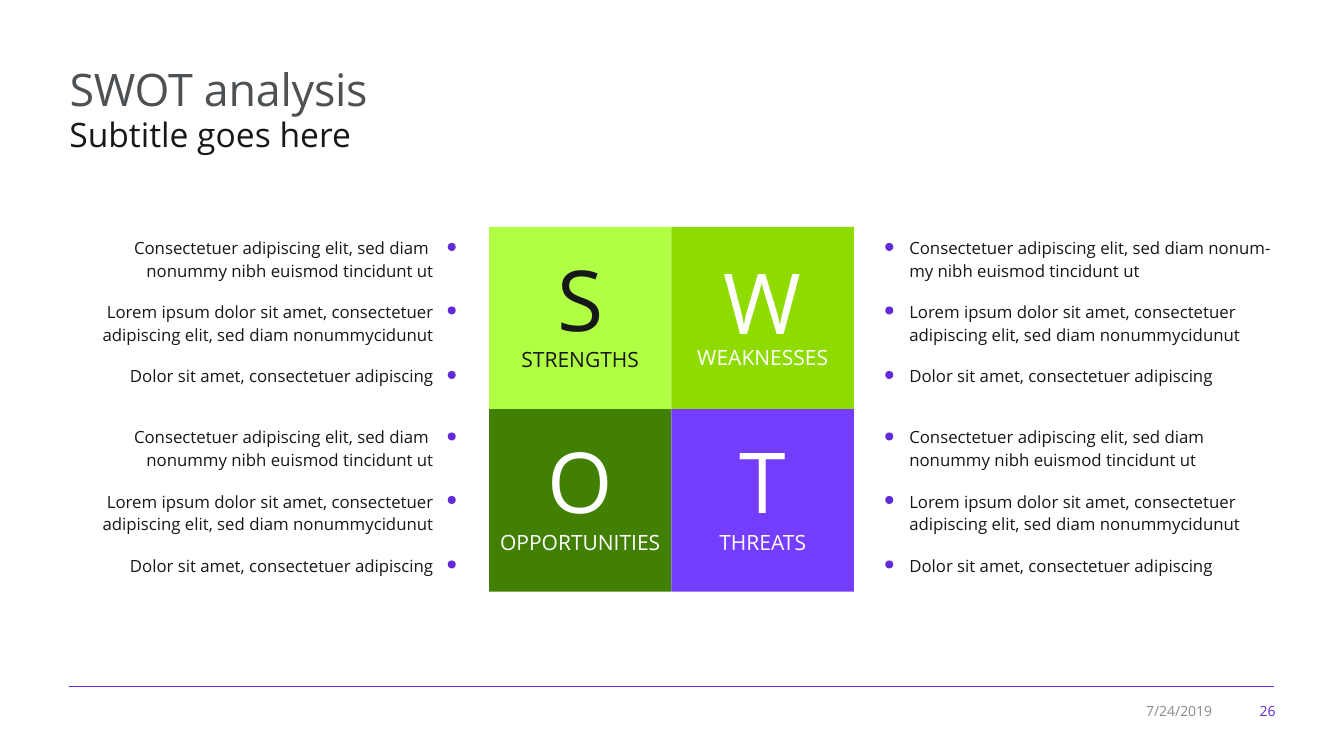
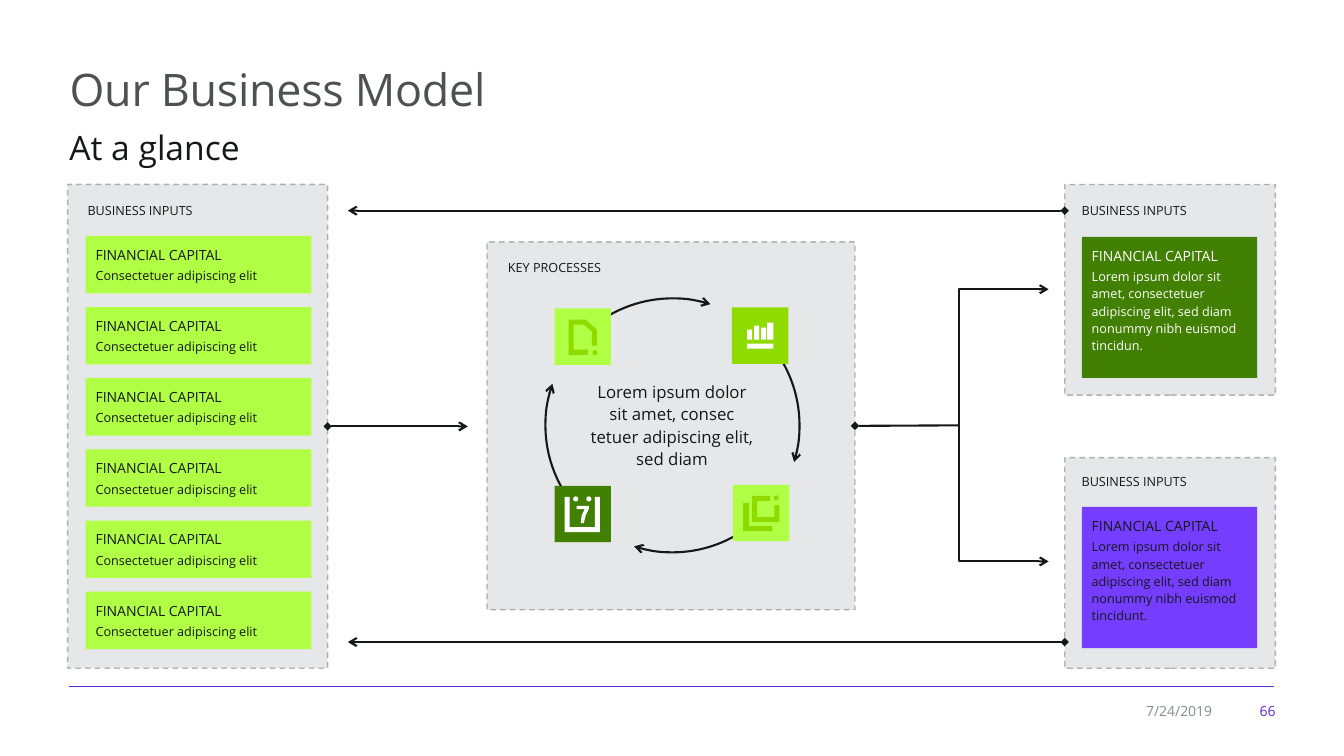
import math

import pptx
import pptx.util
import pptx.dml.color
import pptx.enum.dml
import pptx.enum.shapes
import pptx.enum.text
import pptx.oxml.ns
from lxml import etree

Inches = pptx.util.Inches
Pt = pptx.util.Pt
Shape = pptx.enum.shapes.MSO_SHAPE
Align = pptx.enum.text.PP_ALIGN
Anchor = pptx.enum.text.MSO_ANCHOR

# Shared style
FONT = "Open Sans"
COLORS = {
    "title": "4D5154", "ink": "161718", "white": "FFFFFF", "muted": "868B90",
    "accent": "622AD8", "panel": "E6E7E8", "lime": "B0FF45",
    "green": "8FDB00", "forest": "428003", "violet": "753DFF",
}
DATE = "7/24/2019"
INSETS = (0.1, 0.05, 0.1, 0.05)

# SWOT content
TILE = 1.81
TILES = [  # letter, name, fill, text colour, name line spacing
    ("S", "STRENGTHS", "lime", "ink", 0.9),
    ("W", "WEAKNESSES", "green", "white", 0.65),
    ("O", "OPPORTUNITIES", "forest", "white", 0.9),
    ("T", "THREATS", "violet", "white", 0.9),
]
BROKEN_POINT = "Consectetuer adipiscing elit, sed diam \nnonummy nibh euismod tincidunt ut"
HYPHEN_POINT = "Consectetuer adipiscing elit, sed diam nonum-my nibh euismod tincidunt ut"
OTHER_POINTS = [
    "Lorem ipsum dolor sit amet, consectetuer adipiscing elit, sed diam nonummycidunut",
    "Dolor sit amet, consectetuer adipiscing",
]
POINT_BLOCKS = [  # left, top, dot left, alignment, first point
    (0.58, 2.28, 4.44, Align.RIGHT, BROKEN_POINT),
    (0.58, 4.16, 4.44, Align.RIGHT, BROKEN_POINT),
    (8.92, 2.28, 8.78, Align.LEFT, HYPHEN_POINT),
    (8.92, 4.16, 8.78, Align.LEFT, BROKEN_POINT),
]
DOT_OFFSETS = (0.13, 0.76, 1.4)

# Business model content
PANELS = {  # box, heading, heading position
    "inputs": ((0.67, 1.83, 2.58, 4.8), "BUSINESS INPUTS", (0.77, 1.96)),
    "processes": ((4.83, 2.4, 3.65, 3.65), "KEY PROCESSES", (4.94, 2.53)),
    "top result": ((10.56, 1.83, 2.09, 2.09), "BUSINESS INPUTS", (10.63, 1.96)),
    "bottom result": ((10.56, 4.54, 2.09, 2.09), "BUSINESS INPUTS", (10.63, 4.65)),
}
CARD_TITLE = "FINANCIAL CAPITAL"
INPUT_TEXT = "Consectetuer adipiscing elit"
INPUT_COUNT, INPUT_FIRST, INPUT_LAST = 6, 2.34, 5.87
RESULT_TEXT = ("Lorem ipsum dolor sit amet, consectetuer adipiscing elit, "
               "sed diam nonummy nibh euismod ")
RESULTS = [  # top, fill, text colour, last word
    (2.35, "forest", "white", "tincidun."),
    (5.03, "violet", "ink", "tincidunt."),
]
CYCLE_TEXT = ["Lorem ipsum dolor", "sit amet, consec", "tetuer adipiscing elit, sed diam"]
CYCLE_ARCS = [(320.8, 16.8), (44.6, 107.6), (136.2, 199.1), (232.8, 287.4)]  # degrees
RETURN_ARROWS = (2.09, 6.37)
FORK = [(10.4, 2.87), (9.51, 2.87), (9.51, 5.57), (10.4, 5.57)]


def bar(left, top, right, bottom):
    return [(left, top), (right, top), (right, bottom), (left, bottom)]


def dot(x, y, radius=0.025, sides=16):
    angles = [2 * math.pi * side / sides for side in range(sides)]
    return [(x + radius * math.cos(a), y + radius * math.sin(a)) for a in angles]


ICONS = [  # left, top, tile fill, glyph fill, outlines measured from the tile corner
    (5.5, 3.06, "lime", "green", [
        [(0.42, 0.21), (0.42, 0.37), (0.37, 0.37), (0.37, 0.23), (0.29, 0.16), (0.19, 0.16),
         (0.19, 0.41), (0.33, 0.41), (0.33, 0.46), (0.14, 0.46), (0.14, 0.11), (0.31, 0.11)],
        dot(0.4, 0.44)]),
    (7.26, 3.05, "green", "white", [
        bar(0.15, 0.36, 0.41, 0.41), bar(0.15, 0.22, 0.2, 0.32), bar(0.22, 0.18, 0.27, 0.32),
        bar(0.29, 0.2, 0.34, 0.32), bar(0.35, 0.15, 0.41, 0.32)]),
    (5.5, 4.82, "forest", "white", [
        [(0.45, 0.11), (0.45, 0.46), (0.1, 0.46), (0.1, 0.11),
         (0.15, 0.11), (0.15, 0.41), (0.4, 0.41), (0.4, 0.11)],
        dot(0.21, 0.13), dot(0.34, 0.13),
        [(0.29, 0.37), (0.31, 0.29), (0.34, 0.23), (0.34, 0.2), (0.22, 0.2),
         (0.22, 0.23), (0.3, 0.23), (0.27, 0.29), (0.26, 0.37)]]),
    (7.27, 4.81, "lime", "green", [
        [(0.41, 0.2), (0.46, 0.2), (0.46, 0.37), (0.19, 0.37), (0.19, 0.11),
         (0.37, 0.11), (0.37, 0.16), (0.24, 0.16), (0.24, 0.32), (0.41, 0.32)],
        [(0.16, 0.18), (0.1, 0.18), (0.1, 0.46), (0.39, 0.46), (0.39, 0.41), (0.16, 0.41)],
        dot(0.43, 0.13)]),
]


# Drawing helpers
def rgb(color):
    return pptx.dml.color.RGBColor.from_string(COLORS[color])


def line(text, size, color="ink", align=Align.LEFT, spacing=1.0, after=0):
    return {"text": text, "size": size, "color": color, "align": align,
            "spacing": spacing, "after": after}


def write(shape, lines, anchor=Anchor.TOP, insets=INSETS):
    frame = shape.text_frame
    frame.word_wrap = True
    frame.vertical_anchor = anchor
    (frame.margin_left, frame.margin_top,
     frame.margin_right, frame.margin_bottom) = map(Inches, insets)
    for index, item in enumerate(lines):
        paragraph = frame.add_paragraph() if index else frame.paragraphs[0]
        paragraph.alignment = item["align"]
        paragraph.line_spacing = item["spacing"]
        paragraph.space_before = Pt(0)
        paragraph.space_after = Pt(item["after"])
        for part_index, part in enumerate(item["text"].split("\n")):
            if part_index:
                paragraph.add_line_break()
            run = paragraph.add_run()
            run.text = part
            run.font.name = FONT
            run.font.size = Pt(item["size"])
            run.font.color.rgb = rgb(item["color"])


def add_text(slide, box, lines, anchor=Anchor.TOP):
    shape = slide.shapes.add_textbox(*map(Inches, box))
    write(shape, lines, anchor)


def style_fill(shape, fill):
    shape.shadow.inherit = False
    shape.fill.solid()
    shape.fill.fore_color.rgb = rgb(fill)
    shape.line.fill.background()


def add_block(slide, box, fill, kind=Shape.RECTANGLE):
    shape = slide.shapes.add_shape(kind, *map(Inches, box))
    style_fill(shape, fill)
    return shape


def add_outline(slide, outlines, left=0, top=0, close=True):
    placed = [[(Inches(left + x), Inches(top + y)) for x, y in outline] for outline in outlines]
    builder = slide.shapes.build_freeform(*placed[0][0], scale=1.0)
    for index, points in enumerate(placed):
        if index:
            builder.move_to(*points[0])
        builder.add_line_segments(points[1:], close=close)
    return builder.convert_to_shape()


def style_line(shape, color="ink", width=1.5, head=None, tail=None):
    shape.line.color.rgb = rgb(color)
    shape.line.width = Pt(width)
    stroke = shape.line._get_or_add_ln()
    for tag, kind in (("a:headEnd", head), ("a:tailEnd", tail)):
        if kind:
            etree.SubElement(stroke, pptx.oxml.ns.qn(tag), type=kind)


def add_line(slide, start, end, **style):
    connector = slide.shapes.add_connector(
        pptx.enum.shapes.MSO_CONNECTOR.STRAIGHT, *map(Inches, start + end))
    style_line(connector, **style)
    etree.SubElement(connector._element.spPr, pptx.oxml.ns.qn("a:effectLst"))
    return connector


def add_panel(slide, box):
    panel = add_block(slide, box, "panel")
    style_line(panel, width=1)
    panel.line.dash_style = pptx.enum.dml.MSO_LINE.DASH
    ink = panel.line._get_or_add_ln().find(".//" + pptx.oxml.ns.qn("a:srgbClr"))
    etree.SubElement(ink, pptx.oxml.ns.qn("a:alpha"), val="30000")
    return panel


def add_card(slide, box, fill, color, text):
    write(add_block(slide, box, fill),
          [line(CARD_TITLE, 10, color, spacing=1.14, after=2),
           line(text, 9, color, spacing=1.14)],
          insets=(0.1, 0.08, 0.1, 0.05))


def add_base_slide(presentation, title, subtitle, subtitle_top, number):
    slide = presentation.slides.add_slide(presentation.slide_layouts[5])
    heading = slide.shapes.title
    heading.left, heading.top, heading.width, heading.height = map(
        Inches, (0.59, 0.56, 12.16, 0.66))
    write(heading, [line(title, 32, "title")])
    heading.text_frame.auto_size = pptx.enum.text.MSO_AUTO_SIZE.NONE
    heading.text_frame.paragraphs[0].runs[0].font._element.set("spc", "-20")
    add_text(slide, (0.59, subtitle_top, 12.03, 0.54),
             [line(subtitle, 24, spacing=1.17, after=6)])
    add_line(slide, (0.68, 6.81), (12.64, 6.81), color="accent", width=0.75)
    for left, width, text, color in ((12.24, 0.51, number, "accent"),
                                     (11.17, 0.95, DATE, "muted")):
        add_text(slide, (left, 6.92, width, 0.26),
                 [line(text, 10, color, Align.RIGHT)], Anchor.MIDDLE)
    return slide


# Slides
def build_swot(presentation):
    slide = add_base_slide(presentation, "SWOT analysis", "Subtitle goes here", 1.01, "26")
    for index, (letter, name, fill, color, spacing) in enumerate(TILES):
        row, column = divmod(index, 2)
        tile = add_block(slide, (4.85 + column * TILE, 2.25 + row * TILE, TILE, TILE), fill)
        write(tile, [line(letter, 60, color, Align.CENTER, 0.9),
                     line(name, 15, color, Align.CENTER, spacing)],
              Anchor.MIDDLE, (0, 0, 0, 0.05))
    for left, top, dot_left, align, first in POINT_BLOCKS:
        add_text(slide, (left, top, 3.82, 1.63),
                 [line(point, 12, align=align, spacing=1.14, after=13)
                  for point in [first] + OTHER_POINTS])
        for offset in DOT_OFFSETS:
            add_block(slide, (dot_left, top + offset, 0.08, 0.08), "accent", Shape.OVAL)


def build_business_model(presentation):
    slide = add_base_slide(presentation, "Our Business Model", "At a glance", 1.14, "66")
    panels = {}
    for name, (box, heading, (left, top)) in PANELS.items():
        panels[name] = add_panel(slide, box)
        add_text(slide, (left, top, 1.33, 0.25), [line(heading, 9)])

    # Cards
    pitch = (INPUT_LAST - INPUT_FIRST) / (INPUT_COUNT - 1)
    for index in range(INPUT_COUNT):
        add_card(slide, (0.85, INPUT_FIRST + index * pitch, 2.24, 0.57),
                 "lime", "ink", INPUT_TEXT)
    for top, fill, color, last_word in RESULTS:
        add_card(slide, (10.73, top, 1.74, 1.4), fill, color, RESULT_TEXT + last_word)

    # Process cycle
    for angles in CYCLE_ARCS:
        arc = slide.shapes.add_shape(Shape.ARC, *map(Inches, (5.41, 2.96, 2.52, 2.52)))
        arc.shadow.inherit = False
        arc.fill.background()
        for index, angle in enumerate(angles):
            arc.adjustments[index] = angle * 0.6  # 60000ths of a degree, over 100000
        style_line(arc, tail="arrow")
    add_text(slide, (5.64, 3.72, 2.05, 0.98),
             [line(text, 12, align=Align.CENTER, spacing=1.1) for text in CYCLE_TEXT])
    for left, top, fill, glyph_fill, outlines in ICONS:
        add_block(slide, (left, top, 0.56, 0.56), fill)
        style_fill(add_outline(slide, outlines, left, top), glyph_fill)

    # Flow arrows
    for y in RETURN_ARROWS:
        add_line(slide, (10.56, y), (3.45, y), head="diamond", tail="arrow")
    feed = add_line(slide, (3.25, 4.23), (4.64, 4.23), head="diamond", tail="arrow")
    feed.begin_connect(panels["inputs"], 3)
    fork = add_outline(slide, [FORK], close=False)
    fork.shadow.inherit = False
    fork.fill.background()
    style_line(fork, head="arrow", tail="arrow")
    stem = add_line(slide, (8.48, 4.22), (9.51, 4.22), head="diamond")
    stem.begin_connect(panels["processes"], 3)


def main():
    presentation = pptx.Presentation()
    presentation.slide_width = Inches(13.33)
    presentation.slide_height = Inches(7.5)
    build_swot(presentation)
    build_business_model(presentation)
    presentation.save("out.pptx")


if __name__ == "__main__":
    main()
